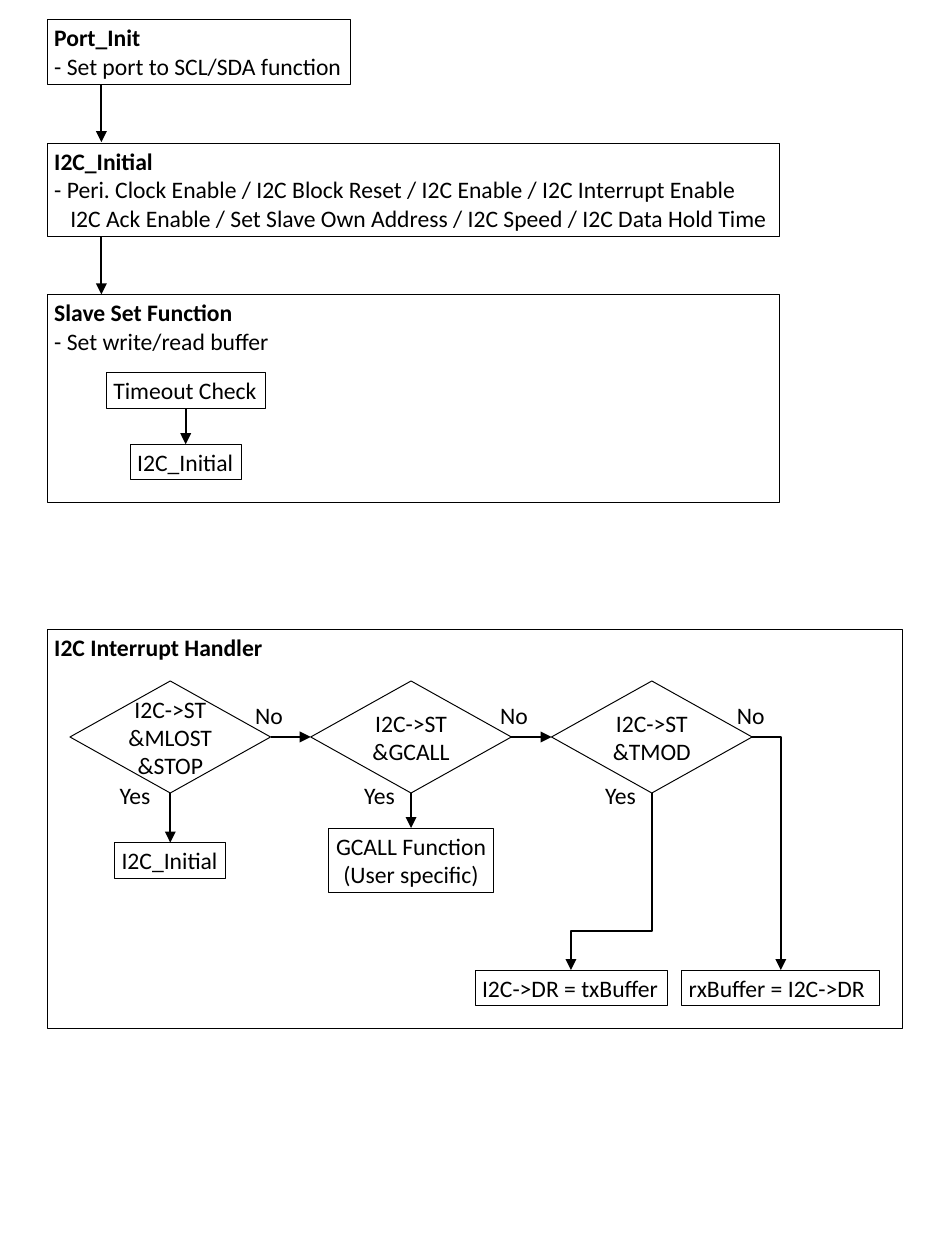
from typing import NamedTuple

from lxml.etree import SubElement
from pptx import Presentation
from pptx.dml.color import RGBColor
from pptx.enum.shapes import MSO_CONNECTOR as CONN, MSO_SHAPE as SHAPE
from pptx.enum.text import MSO_ANCHOR as ANCHOR, PP_ALIGN as ALIGN
from pptx.oxml.ns import qn
from pptx.util import Pt

COLORS = {"ink": "000000", "paper": "FFFFFF"}
FONT, SIZE = "Calibri", 24


class Box(NamedTuple):
    x: float
    y: float
    w: float
    h: float
    lines: tuple[str, ...]
    titled: bool = False
    centred: bool = False
    hanging: int = -1  # index of the line that continues the one above


class Decision(NamedTuple):
    lines: tuple[str, ...]
    no_x: float
    yes_x: float


def rgb(name: str) -> RGBColor:
    return RGBColor.from_string(COLORS[name])


def write(sp, lines, *, titled=False, centred=False, middle=False, hanging=-1) -> None:
    tf = sp.text_frame
    tf.word_wrap = False
    tf.vertical_anchor = ANCHOR.MIDDLE if middle else ANCHOR.TOP
    for i, line in enumerate(lines):
        p = tf.paragraphs[0] if i == 0 else tf.add_paragraph()
        p.alignment = ALIGN.CENTER if centred else ALIGN.LEFT
        if i == hanging:
            p._p.get_or_add_pPr().set("marL", str(Pt(16.3)))
        r = p.add_run()
        r.text = line
        r.font.name, r.font.size = FONT, Pt(SIZE)
        r.font.bold = titled and i == 0
        r.font.color.rgb = rgb("ink")


def add_outline(kind, x: float, y: float, w: float, h: float, width: float):
    sp = slide.shapes.add_shape(kind, Pt(x), Pt(y), Pt(w), Pt(h))
    sp.shadow.inherit = False
    sp.fill.background()
    sp.line.color.rgb = rgb("ink")
    sp.line.width = Pt(width)
    return sp


def add_box(b: Box) -> None:
    sp = add_outline(SHAPE.RECTANGLE, b.x, b.y, b.w, b.h, 0.75)
    write(sp, b.lines, titled=b.titled, centred=b.centred, hanging=b.hanging)


def add_diamond(cx: float, cy: float, lines: tuple[str, ...]) -> None:
    sp = add_outline(SHAPE.DIAMOND, cx - DIAMOND_W / 2, cy - DIAMOND_H / 2,
                     DIAMOND_W, DIAMOND_H, 1)
    sp.fill.solid()
    sp.fill.fore_color.rgb = rgb("paper")
    write(sp, lines, centred=True, middle=True)


def add_label(x: float, y: float, text: str) -> None:
    sp = slide.shapes.add_textbox(Pt(x), Pt(y), Pt(50), Pt(36))
    write(sp, (text,))


def add_arrow(x1: float, y1: float, x2: float, y2: float, kind=CONN.STRAIGHT):
    cn = slide.shapes.add_connector(kind, Pt(x1), Pt(y1), Pt(x2), Pt(y2))
    cn.line.color.rgb = rgb("ink")
    cn.line.width = Pt(2.25)
    SubElement(cn.line._get_or_add_ln(), qn("a:tailEnd"),
               type="triangle", w="lg", len="lg")
    SubElement(cn._element.spPr, qn("a:effectLst"))
    return cn


def add_corner_arrow(x1: float, y1: float, x2: float, y2: float) -> None:
    """Go across, then down."""
    cn = add_arrow(x1, y1, x2, y2, CONN.ELBOW)
    cn._element.spPr.find(qn("a:prstGeom")).set("prst", "bentConnector2")


def add_step_arrow(x1: float, y1: float, x2: float, y2: float, bend: float) -> None:
    """Go down, left at the share `bend` of the drop, and down again."""
    cx, cy = (x1 + x2) / 2, (y1 + y2) / 2
    half_w, half_h = (y2 - y1) / 2, (x1 - x2) / 2
    cn = add_arrow(cx - half_w, cy - half_h, cx + half_w, cy + half_h, CONN.ELBOW)
    spPr = cn._element.spPr
    spPr.find(qn("a:xfrm")).set("rot", str(90 * 60000))
    av = spPr.find(qn("a:prstGeom")).find(qn("a:avLst"))
    SubElement(av, qn("a:gd"), name="adj1", fmla=f"val {round(bend * 100000)}")


prs = Presentation()
prs.slide_width, prs.slide_height = Pt(960), Pt(1280)
slide = prs.slides.add_slide(prs.slide_layouts[6])

# Frames and steps
LEFT, INIT_W = 48, 744
STEP_H, BUFFER_Y = 36.2, 985.5
BOXES = [
    Box(LEFT, 20, 308.4, 65.5,
        ("Port_Init", "- Set port to SCL/SDA function"), titled=True),
    Box(LEFT, 145.6, INIT_W, 94.4,
        ("I2C_Initial",
         "- Peri. Clock Enable / I2C Block Reset / I2C Enable / I2C Interrupt Enable",
         "I2C Ack Enable / Set Slave Own Address / I2C Speed / I2C Data Hold Time"),
        titled=True, hanging=2),
    Box(LEFT, 299.5, INIT_W, 210.5,
        ("Slave Set Function", "- Set write/read buffer"), titled=True),
    Box(108, 378.7, 161.5, STEP_H, ("Timeout Check",)),
    Box(132.3, 451.3, 113, STEP_H, ("I2C_Initial",)),
    Box(LEFT, 639.3, 868.4, 405.7, ("I2C Interrupt Handler",), titled=True),
    Box(116.4, 856, 113, STEP_H, ("I2C_Initial",)),
    Box(333.4, 841.2, 168.3, 65.5, ("GCALL Function", "(User specific)"), centred=True),
    Box(482.6, BUFFER_Y, 195.1, STEP_H, ("I2C->DR = txBuffer",)),
    Box(692.4, BUFFER_Y, 201, STEP_H, ("rxBuffer = I2C->DR",)),
]
for box in BOXES:
    add_box(box)

# Decisions, evenly spaced
DIAMOND_W, DIAMOND_H = 203.8, 113.8
FIRST_CX, PITCH, ROW_CY = 173, 244.6, 748.7
DECISIONS = [
    Decision(("I2C->ST", "&MLOST", "&STOP"), 252, 114.5),
    Decision(("I2C->ST", "&GCALL"), 501.1, 362.9),
    Decision(("I2C->ST", "&TMOD"), 741.6, 607.7),
]
centres = [FIRST_CX + i * PITCH for i in range(len(DECISIONS))]
row_bottom = ROW_CY + DIAMOND_H / 2
for cx, decision in zip(centres, DECISIONS):
    add_diamond(cx, ROW_CY, decision.lines)
    add_label(decision.no_x, 708.5, "No")
    add_label(decision.yes_x, 789.8, "Yes")

# Straight arrows
for x, top, bottom in [(103, 85.5, 144.3), (103, 240, 299),
                       (188.7, 414.9, 451.3),
                       (centres[0], row_bottom, 856),
                       (centres[1], row_bottom, 841.2)]:
    add_arrow(x, top, x, bottom)
for cx, next_cx in zip(centres, centres[1:]):
    add_arrow(cx + DIAMOND_W / 2, ROW_CY, next_cx - DIAMOND_W / 2, ROW_CY)

# Bent arrows to the buffers
add_corner_arrow(centres[2] + DIAMOND_W / 2, ROW_CY, 793.2, BUFFER_Y)
add_step_arrow(centres[2], row_bottom, 580, BUFFER_Y, bend=0.78)

prs.save("out.pptx")
